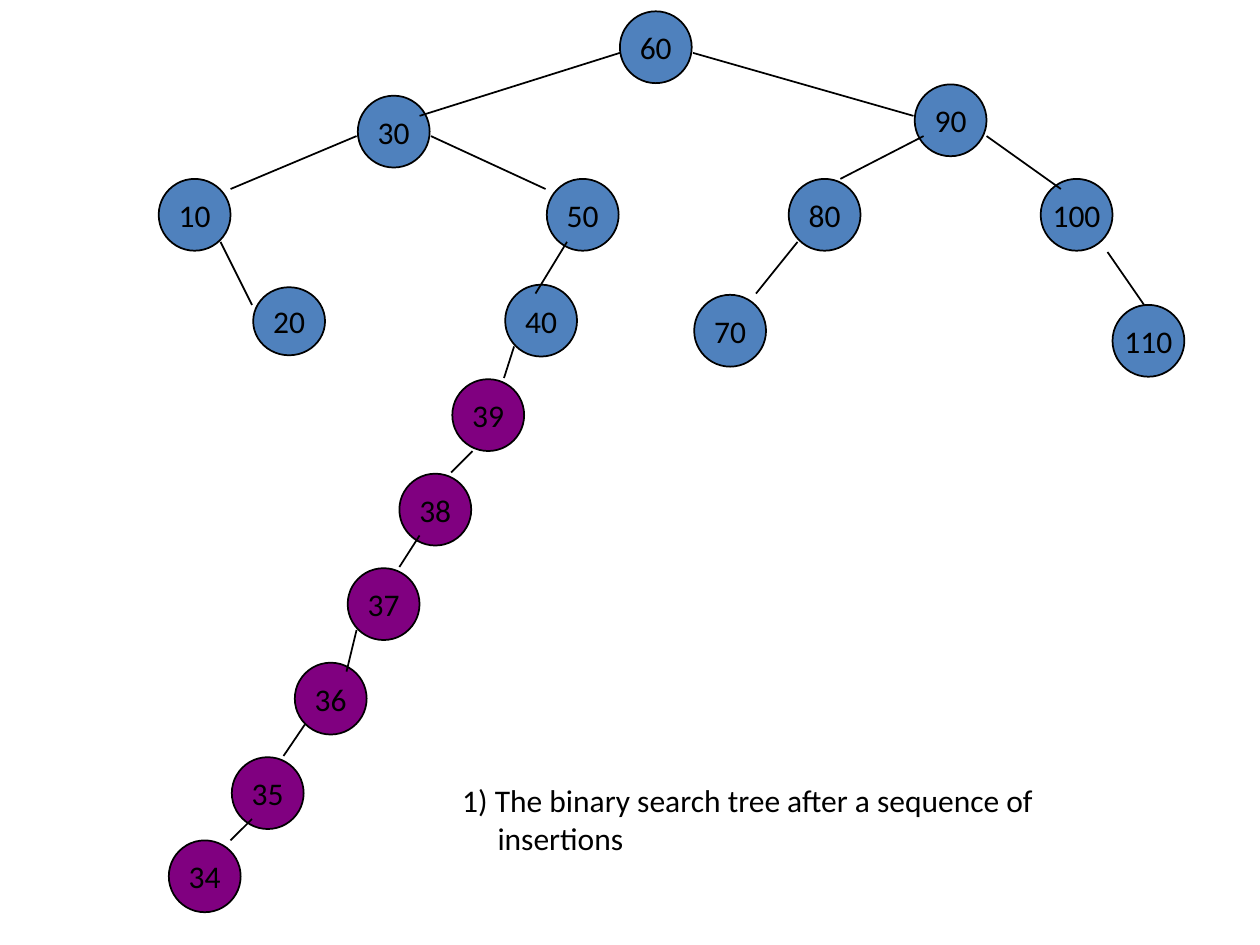
from lxml import etree
from pptx import Presentation, util as u
from pptx.dml.color import RGBColor
from pptx.enum import shapes, text
from pptx.oxml.ns import qn

BLUE, PURPLE, BLACK = "4F81BD", "800080", "000000"
DIAMETER = 0.57

# key: (left, top)
INITIAL_KEYS = {
    60: (4.92, 0.09), 30: (2.84, 0.76), 90: (7.26, 0.67),
    10: (1.26, 1.42), 50: (4.34, 1.42), 80: (6.26, 1.42), 100: (8.26, 1.42),
    40: (4.01, 2.26), 20: (2.01, 2.28), 70: (5.51, 2.34), 110: (8.83, 2.42),
}
INSERTED_KEYS = {
    39: (3.59, 3.01), 38: (3.17, 3.76), 37: (2.76, 4.51),
    36: (2.34, 5.26), 35: (1.84, 6.01), 34: (1.34, 6.67),
}
# (parent, child): (start x, start y, end x, end y)
EDGES = {
    (60, 30): (4.92, 0.42, 3.33, 0.92),
    (60, 90): (5.5, 0.42, 7.25, 0.92),
    (30, 10): (2.83, 1.08, 1.83, 1.5),
    (10, 20): (1.75, 1.92, 2, 2.42),
    (30, 50): (3.42, 1.08, 4.33, 1.5),
    (50, 40): (4.5, 1.92, 4.25, 2.33),
    (40, 39): (4.08, 2.75, 4, 3),
    (39, 38): (3.75, 3.58, 3.58, 3.75),
    (38, 37): (3.33, 4.25, 3.17, 4.5),
    (37, 36): (2.83, 5, 2.75, 5.33),
    (36, 35): (2.42, 5.75, 2.25, 6),
    (35, 34): (2, 6.5, 1.83, 6.67),
    (90, 80): (7.33, 1.08, 6.67, 1.42),
    (90, 100): (7.83, 1.08, 8.42, 1.5),
    (80, 70): (6.33, 1.92, 6, 2.33),
    (100, 110): (8.79, 2, 9.08, 2.42),
}


def color(hex_value):
    return RGBColor.from_string(hex_value)


def set_line(line):
    line.color.rgb = color(BLACK)
    line.width = u.Pt(1)


def write(paragraph, words):
    run = paragraph.add_run()
    run.text = words
    for name, value in {"size": u.Pt(18), "name": "Calibri"}.items():
        setattr(run.font, name, value)
    run.font.color.rgb = color(BLACK)


def add_node(slide, key, left, top, fill):
    height = 0.54 if key == 20 else DIAMETER
    node = slide.shapes.add_shape(
        shapes.MSO_SHAPE.OVAL, *map(u.Inches, (left, top, DIAMETER, height)))
    node.shadow.inherit = False
    node.fill.solid()
    node.fill.fore_color.rgb = color(fill)
    set_line(node.line)
    frame = node.text_frame
    frame.word_wrap = False
    frame.vertical_anchor = text.MSO_ANCHOR.MIDDLE
    label = frame.paragraphs[0]
    label.alignment = text.PP_ALIGN.CENTER
    write(label, str(key))


def add_edge(slide, ends):
    edge = slide.shapes.add_connector(
        shapes.MSO_CONNECTOR.STRAIGHT, *map(u.Inches, ends))
    set_line(edge.line)
    etree.SubElement(edge._element.spPr, qn("a:effectLst"))


def add_caption(slide):
    caption = slide.shapes.add_textbox(*map(u.Inches, (3.57, 6.15, 6.21, 0.9)))
    frame = caption.text_frame
    frame.word_wrap = True
    write(frame.paragraphs[0], "1) The binary search tree after a sequence of")
    second_line = frame.add_paragraph()
    write(second_line, "insertions")
    second_line._p.get_or_add_pPr().set("marL", str(u.Inches(0.28)))


def main():
    prs = Presentation()
    prs.slide_width, prs.slide_height = u.Inches(10), u.Inches(7.5)
    slide = prs.slides.add_slide(prs.slide_layouts[6])

    # Tree nodes
    for keys, fill in ((INITIAL_KEYS, BLUE), (INSERTED_KEYS, PURPLE)):
        for key, (left, top) in keys.items():
            add_node(slide, key, left, top, fill)

    # Parent-child links
    for ends in EDGES.values():
        add_edge(slide, ends)

    # Explanation
    add_caption(slide)
    prs.save("out.pptx")


if __name__ == "__main__":
    main()
